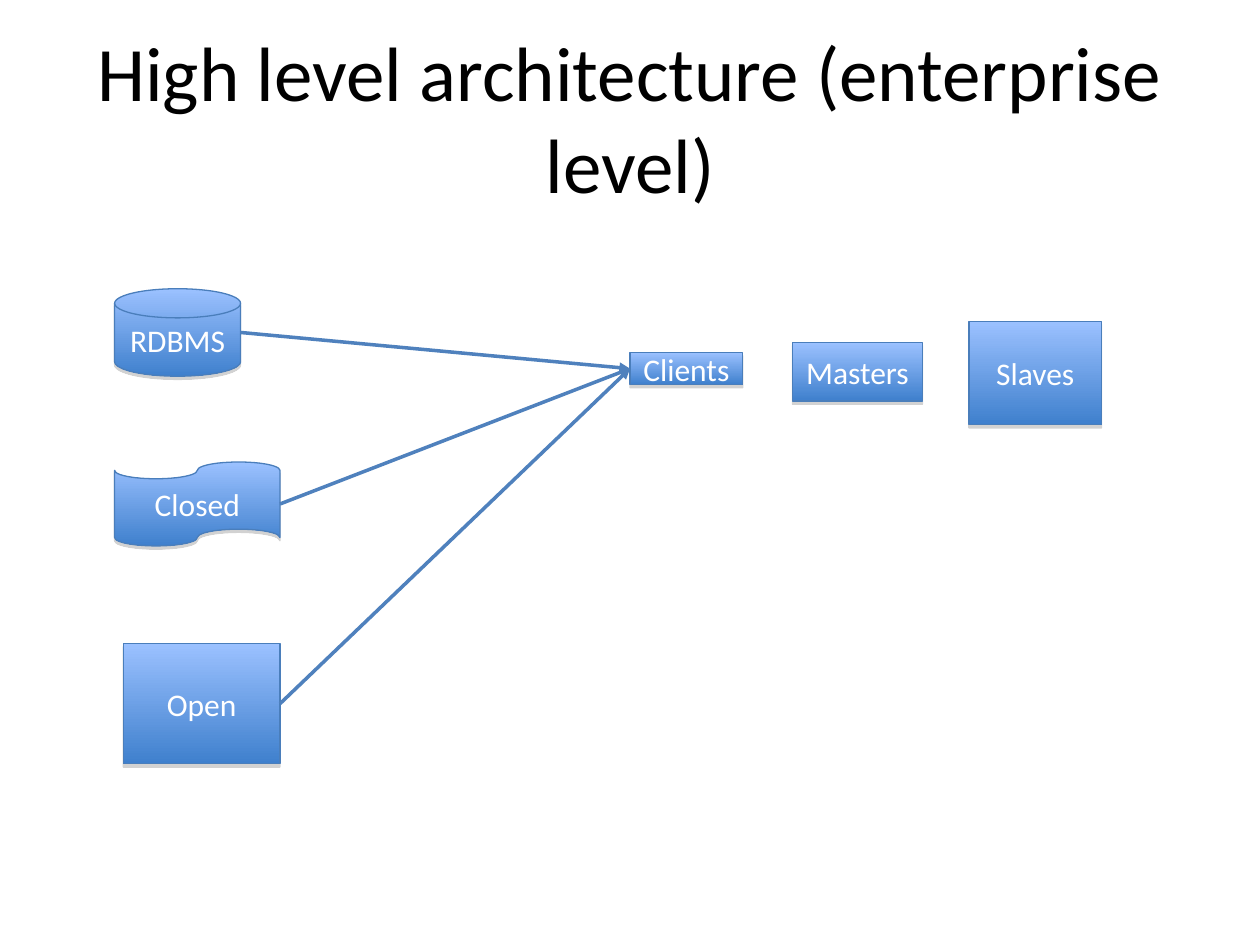
"""Build the enterprise-level architecture slide."""
from dataclasses import dataclass

from lxml.etree import SubElement
from pptx import Presentation
from pptx.dml.color import RGBColor
from pptx.enum.shapes import MSO_CONNECTOR, MSO_SHAPE
from pptx.enum.text import MSO_ANCHOR, PP_ALIGN
from pptx.oxml.ns import qn
from pptx.util import Pt


@dataclass(frozen=True)
class Theme:
    font: str = "Calibri"
    title_size: int = 44
    label_size: int = 18
    title_color: str = "000000"
    label_color: str = "FFFFFF"
    gradient: tuple = ("9BC1FF", "3F80CD")
    outline: str = "4A7EBB"
    outline_width: float = 0.75
    flow: str = "4F81BD"
    flow_width: float = 2
    shadow: str = "808080"
    shadow_opacity: int = 35
    shadow_distance: float = 1.8


class Diagram:
    def __init__(self, slide, theme):
        self.slide = slide
        self.theme = theme

    def label(self, frame, text, size, color):
        frame.text = text
        frame.word_wrap = True
        frame.vertical_anchor = MSO_ANCHOR.MIDDLE
        paragraph = frame.paragraphs[0]
        paragraph.alignment = PP_ALIGN.CENTER
        paragraph.font.name = self.theme.font
        paragraph.font.size = Pt(size)
        paragraph.font.color.rgb = RGBColor.from_string(color)

    def title(self, text, left, top, width, height):
        heading = self.slide.shapes.title
        heading.left, heading.top = Pt(left), Pt(top)
        heading.width, heading.height = Pt(width), Pt(height)
        self.label(heading.text_frame, text, self.theme.title_size, self.theme.title_color)

    def node(self, shapes, text, kind, left, top, width, height):
        theme = self.theme
        node = shapes.add_shape(kind, Pt(left), Pt(top), Pt(width), Pt(height))
        node.fill.gradient()
        node.fill.gradient_angle = 270
        for stop, position, color in zip(node.fill.gradient_stops, (0, 1), theme.gradient):
            stop.position = position
            stop.color.rgb = RGBColor.from_string(color)
        node.line.color.rgb = RGBColor.from_string(theme.outline)
        node.line.width = Pt(theme.outline_width)
        self.drop_shadow(node)
        self.label(node.text_frame, text, theme.label_size, theme.label_color)
        return node

    def drop_shadow(self, node):
        theme = self.theme
        node.shadow.inherit = False
        effects = node.element.spPr.find(qn("a:effectLst"))
        shadow = SubElement(effects, qn("a:outerShdw"), blurRad="0",
                            dist=str(Pt(theme.shadow_distance)), dir="5400000", rotWithShape="0")
        color = SubElement(shadow, qn("a:srgbClr"), val=theme.shadow)
        SubElement(color, qn("a:alpha"), val=str(theme.shadow_opacity * 1000))

    def arrow(self, source, target, glue_source=True):
        arrow = self.slide.shapes.add_connector(
            MSO_CONNECTOR.STRAIGHT,
            source.left + source.width, source.top + source.height // 2,
            target.left, target.top + target.height // 2)
        if glue_source:
            arrow.begin_connect(source, 3)
        arrow.end_connect(target, 1)
        arrow.line.color.rgb = RGBColor.from_string(self.theme.flow)
        arrow.line.width = Pt(self.theme.flow_width)
        properties = arrow.element.spPr
        SubElement(properties.find(qn("a:ln")), qn("a:tailEnd"), type="triangle")
        SubElement(properties, qn("a:effectLst"))


def main():
    deck = Presentation()
    deck.slide_width, deck.slide_height = Pt(720), Pt(540)
    slide = deck.slides.add_slide(deck.slide_layouts[5])
    diagram = Diagram(slide, Theme())
    diagram.title("High level architecture (enterprise level)", 36, 21.6, 648, 90)

    cluster = slide.shapes.add_group_shape().shapes
    diagram.node(cluster, "Masters", MSO_SHAPE.RECTANGLE, 452.8, 195.8, 74.3, 33.4)
    diagram.node(cluster, "Slaves", MSO_SHAPE.RECTANGLE, 553.7, 183.6, 75.8, 59.2)
    clients = diagram.node(cluster, "Clients", MSO_SHAPE.RECTANGLE, 360, 201.5, 64.5, 18.3)

    sources = [
        ("RDBMS", MSO_SHAPE.FLOWCHART_MAGNETIC_DISK, 65.5, 165, 72, 50),
        ("Closed", MSO_SHAPE.FLOWCHART_PUNCHED_TAPE, 65.5, 264, 94.5, 48),
        ("Open", MSO_SHAPE.FLOWCHART_PROCESS, 70.5, 367.8, 89.5, 68.7),
    ]
    stores = [diagram.node(slide.shapes, *source) for source in sources]
    for store in stores:
        is_disk = store.auto_shape_type == MSO_SHAPE.FLOWCHART_MAGNETIC_DISK
        diagram.arrow(store, clients, glue_source=not is_disk)

    deck.save("out.pptx")


if __name__ == "__main__":
    main()
